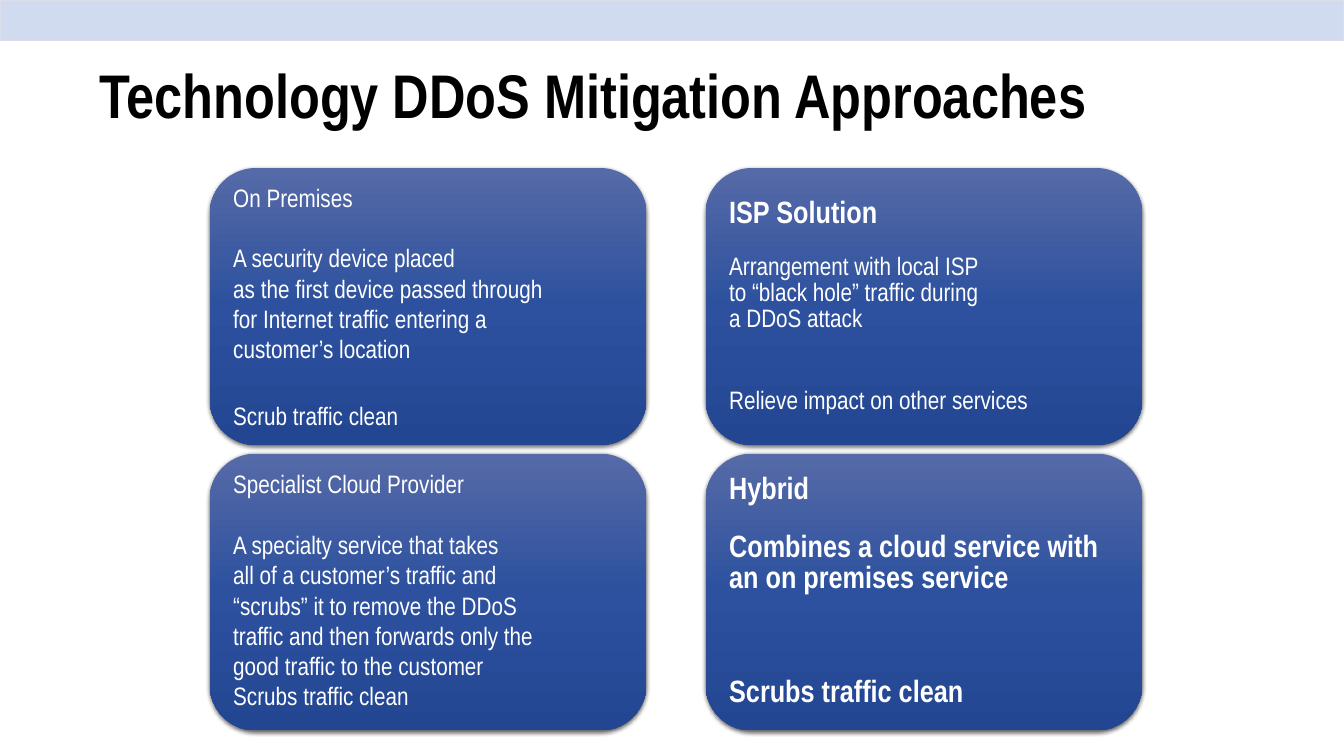
from copy import deepcopy
from dataclasses import dataclass

from lxml.etree import SubElement
from pptx import Presentation
from pptx.dml.color import RGBColor as RGB
from pptx.enum.shapes import MSO_SHAPE as Shape
from pptx.enum.text import MSO_ANCHOR as Anchor, MSO_AUTO_SIZE as Auto, PP_ALIGN as Align
from pptx.oxml.ns import qn
from pptx.util import Inches, Pt


@dataclass(frozen=True)
class Theme:
    font: str = "Arial Narrow"
    ink: str = "000000"
    light: str = "FFFFFF"
    band: str = "D1DBF0"
    edge: str = "D9DEEA"
    grad: tuple = ((0, "566AA7"), (0.5, "2D519F"), (1, "234692"))
    title: int = 66
    head: int = 33
    body: int = 27


THEME = Theme()
TIGHT = 0.85

# Each line: text and its format; \v breaks a line
PREMISES = [
    ("On Premises", {}),
    ("A security device placed\vas the first device passed through\v"
     "for Internet traffic entering a\vcustomer’s location", {"before": 32.5}),
    ("Scrub traffic clean", {"before": 39.5}),
]
ISP = [
    ("ISP Solution", {"size": THEME.head, "bold": True, "lead": TIGHT}),
    ("Arrangement with local ISP\vto “black hole” traffic during\va DDoS attack",
     {"before": 27.5, "lead": TIGHT}),
    ("Relieve impact on other services", {"before": 61, "lead": TIGHT}),
]
CLOUD = [
    ("Specialist Cloud Provider", {"lead": TIGHT}),
    ("A specialty service that takes\vall of a customer’s traffic and\v"
     "“scrubs” it to remove the DDoS\vtraffic and then forwards only the\v"
     "good traffic to the customer", {"before": 32.5}),
    ("Scrubs traffic clean", {}),
]
STRONG = {"size": THEME.head, "bold": True, "lead": TIGHT}
HYBRID = [
    ("Hybrid", STRONG),
    ("Combines a cloud service with\van on premises service", {**STRONG, "before": 27.5}),
    ("Scrubs traffic clean", {**STRONG, "before": 89}),
]
GRID = [[PREMISES, ISP], [CLOUD, HYBRID]]


def write(para, text, size=THEME.body, color=THEME.light, bold=False, before=0, lead=1.0):
    para.text = text
    para.alignment = Align.LEFT
    para.line_spacing = lead
    para.space_before = Pt(before)
    para.space_after = Pt(0)
    for run in para.runs:
        font = run.font
        font.name, font.size, font.bold = THEME.font, Pt(size), bold
        font.color.rgb = RGB.from_string(color)


def add_band(slide):
    band = slide.shapes.add_shape(Shape.RECTANGLE, 0, 0, Inches(20), Inches(0.6))
    band.shadow.inherit = False
    band.fill.solid()
    band.fill.fore_color.rgb = RGB.from_string(THEME.band)
    band.line.color.rgb = RGB.from_string(THEME.edge)
    band.line.width = Pt(1)


def set_title(slide, text):
    title = slide.shapes.title
    title.left, title.top = Inches(1.38), Inches(0.38)
    title.width, title.height = Inches(17.25), Inches(2.17)
    frame = title.text_frame
    frame.auto_size = Auto.NONE
    frame.word_wrap = True
    frame.vertical_anchor = Anchor.MIDDLE
    write(frame.paragraphs[0], text, size=THEME.title, color=THEME.ink, bold=True, lead=0.9)


def shade(shape):
    """Fill with the vertical three-stop gradient."""
    fill = shape.fill
    fill.gradient()
    fill.gradient_angle = 270
    stops = shape._element.spPr.find(qn("a:gradFill")).find(qn("a:gsLst"))
    stops.append(deepcopy(stops[-1]))
    for stop, (place, color) in zip(fill.gradient_stops, THEME.grad):
        stop.position = place
        stop.color.rgb = RGB.from_string(color)


def cast(shape):
    """Add a soft shadow below the shape."""
    shape.shadow.inherit = False
    effects = shape._element.spPr.find(qn("a:effectLst"))
    outer = SubElement(effects, qn("a:outerShdw"), blurRad=str(Pt(4.5)), dist=str(Pt(1.5)),
                       dir="5400000", rotWithShape="0")
    color = SubElement(outer, qn("a:srgbClr"), val=THEME.ink)
    SubElement(color, qn("a:alpha"), val="63000")


def add_card(slide, left, top, lines):
    card = slide.shapes.add_shape(Shape.ROUNDED_RECTANGLE, Inches(left), Inches(top),
                                  Inches(6.5), Inches(4.12))
    shade(card)
    card.line.fill.background()
    cast(card)
    frame = card.text_frame
    frame.word_wrap = False
    frame.vertical_anchor = Anchor.MIDDLE
    frame.margin_left = frame.margin_right = Inches(0.15)
    frame.margin_top = frame.margin_bottom = Inches(0.07)
    for i, (text, style) in enumerate(lines):
        para = frame.add_paragraph() if i else frame.paragraphs[0]
        write(para, text, **style)


def main():
    deck = Presentation()
    deck.slide_width, deck.slide_height = Inches(20), Inches(11.25)
    slide = deck.slides.add_slide(deck.slide_layouts[5])

    # Header
    add_band(slide)
    set_title(slide, "Technology DDoS Mitigation Approaches")

    # Two by two cards
    for row, cards in enumerate(GRID):
        for col, lines in enumerate(cards):
            add_card(slide, 3.12 + 7.38 * col, 2.5 + 4.25 * row, lines)

    deck.save("out.pptx")


if __name__ == "__main__":
    main()
